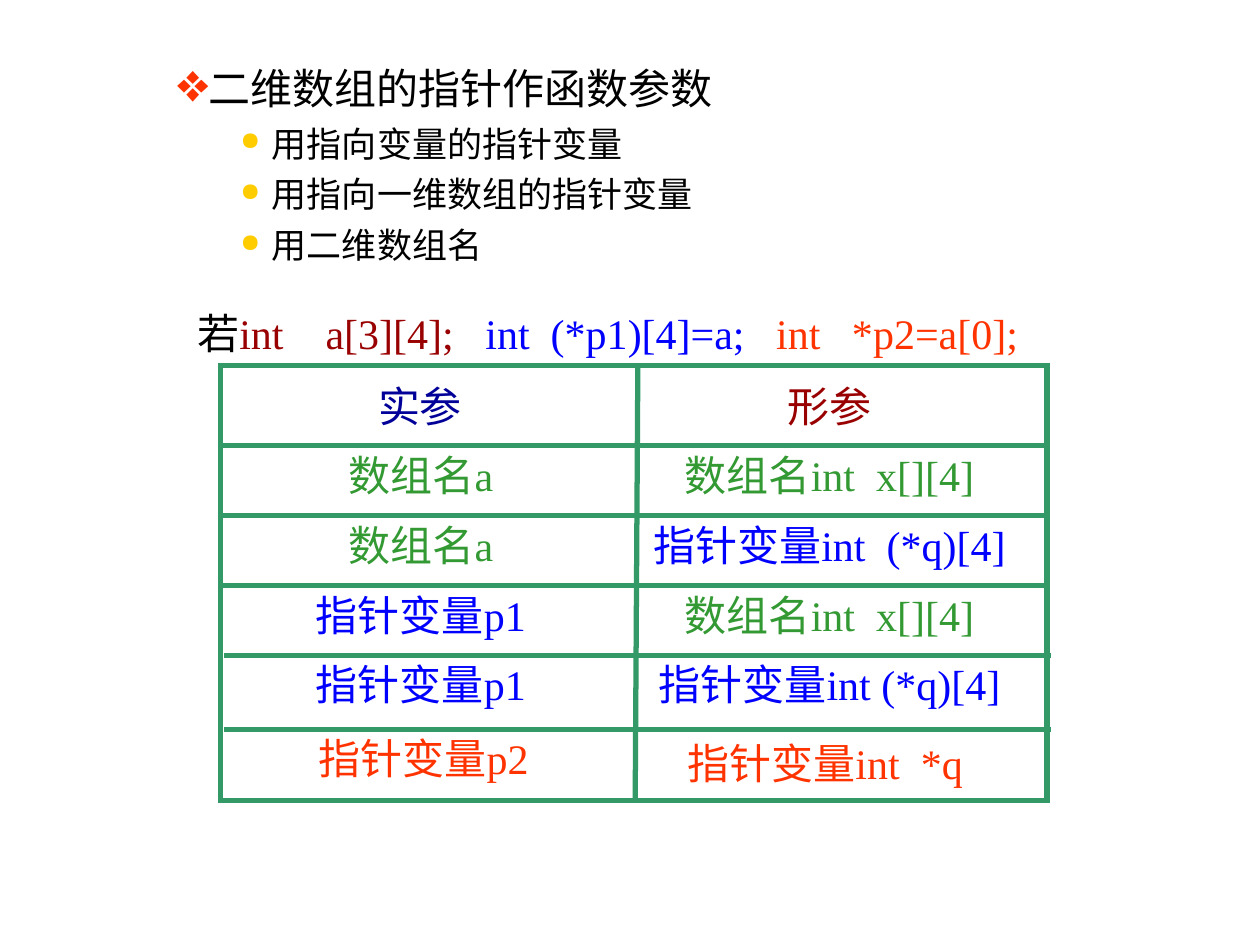
from lxml import etree
from pptx import Presentation
from pptx.dml.color import RGBColor
from pptx.enum.shapes import MSO_CONNECTOR as Connector, MSO_SHAPE as Preset
from pptx.enum.text import MSO_ANCHOR as Anchor, MSO_AUTO_SIZE as AutoSize, PP_ALIGN as Align
from pptx.oxml.ns import qn
from pptx.util import Pt

FONT = "Times New Roman"
BLACK, NAVY, DARK_RED, GREEN = "000000", "000099", "990000", "339933"
BLUE, ORANGE, YELLOW, BORDER = "0000FF", "FF3300", "FFCC00", "339966"


def color(value):
    return RGBColor.from_string(value)


def add_label(center, top, width, runs):
    box = slide.shapes.add_textbox(Pt(center - width / 2), Pt(top), Pt(width), Pt(36))
    frame = box.text_frame
    frame.word_wrap = False
    frame.auto_size = AutoSize.SHAPE_TO_FIT_TEXT
    frame.vertical_anchor = Anchor.MIDDLE
    paragraph = frame.paragraphs[0]
    paragraph.alignment = Align.CENTER
    for text, run_color in runs:
        run = paragraph.add_run()
        run.text = text
        run.font.name = FONT
        run.font.size = Pt(24)
        run.font.color.rgb = color(run_color)


presentation = Presentation()
presentation.slide_width, presentation.slide_height = Pt(720), Pt(540)
slide = presentation.slides.add_slide(presentation.slide_layouts[6])

# Bulleted outline: text, level, left margin, size, bullet, bullet colour, bullet percent
outline = [
    ("二维数组的指针作函数参数", 2, 90, 24, "❖", ORANGE, 130),
    ("用指向变量的指针变量", 3, 126, 20, "●", YELLOW, 72),
    ("用指向一维数组的指针变量", 3, 126, 20, "●", YELLOW, 72),
    ("用二维数组名", 3, 126, 20, "●", YELLOW, 72),
]
body = slide.shapes.add_textbox(Pt(22.3), Pt(32.4), Pt(667.5), Pt(150.5)).text_frame
body.word_wrap = True
for index, (text, level, margin, size, bullet, bullet_color, percent) in enumerate(outline):
    paragraph = body.add_paragraph() if index else body.paragraphs[0]
    paragraph.level = level
    if index:
        paragraph.space_before = Pt(5)
    properties = paragraph._p.get_or_add_pPr()
    properties.set("marL", str(Pt(margin)))
    properties.set("indent", str(Pt(-18)))
    bullet_fill = etree.SubElement(properties, qn("a:buClr"))
    etree.SubElement(bullet_fill, qn("a:srgbClr"), val=bullet_color)
    etree.SubElement(properties, qn("a:buSzPct"), val=str(percent * 1000))
    etree.SubElement(properties, qn("a:buChar"), char=bullet)
    run = paragraph.add_run()
    run.text = text
    run.font.name = FONT
    run.font.size = Pt(size)
    run.font.color.rgb = color(BLACK)

# Grid frame with square corners
frame_shape = slide.shapes.add_shape(Preset.RECTANGLE, Pt(126), Pt(208.8), Pt(472.3), Pt(248.8))
frame_shape.shadow.inherit = False
frame_shape.fill.solid()
frame_shape.fill.fore_color.rgb = color("FFFFFF")
frame_shape.line.color.rgb = color(BORDER)
frame_shape.line.width = Pt(3)
etree.SubElement(frame_shape.line._get_or_add_ln(), qn("a:miter"), lim="800000")

# Column divider, then row dividers; the last two sit slightly to the right
dividers = [(364.5, 209, 363, 456)]
for left, y in [(126, 254.75), (126, 294.75), (126, 334.5), (128.25, 374.5), (128.25, 416.75)]:
    dividers.append((left, y, left + 472.3, y))
for ends in dividers:
    line = slide.shapes.add_connector(Connector.STRAIGHT, *[Pt(value) for value in ends])
    line.line.color.rgb = color(BORDER)
    line.line.width = Pt(3)
    etree.SubElement(line._element.spPr, qn("a:effectLst"))

# Declarations above the grid
add_label(347.25, 172.4, 492, [
    ("若", BLACK),
    ("int    a[3][4];   ", DARK_RED),
    ("int  (*p1)[4]=a;   ", BLUE),
    ("int   *p2=a[0];", ORANGE),
])

# Cell labels: centre, top, width, text, colour
cells = [
    (240, 214, 66, "实参", NAVY),
    (474, 214, 66, "形参", DARK_RED),
    (240.5, 253.5, 106, "数组名a", GREEN),
    (474, 253.5, 189, "数组名int  x[][4]", GREEN),
    (240.5, 293.5, 106, "数组名a", GREEN),
    (474, 293.5, 225, "指针变量int  (*q)[4]", BLUE),
    (240.5, 333, 143, "指针变量p1", BLUE),
    (474, 333, 189, "数组名int  x[][4]", GREEN),
    (240.5, 372.75, 143, "指针变量p1", BLUE),
    (474, 372.75, 219, "指针变量int (*q)[4]", BLUE),
    (242, 415, 143, "指针变量p2", ORANGE),
    (471.5, 418, 181, "指针变量int  *q", ORANGE),
]
for center, top, width, text, text_color in cells:
    add_label(center, top, width, [(text, text_color)])

presentation.save("out.pptx")
